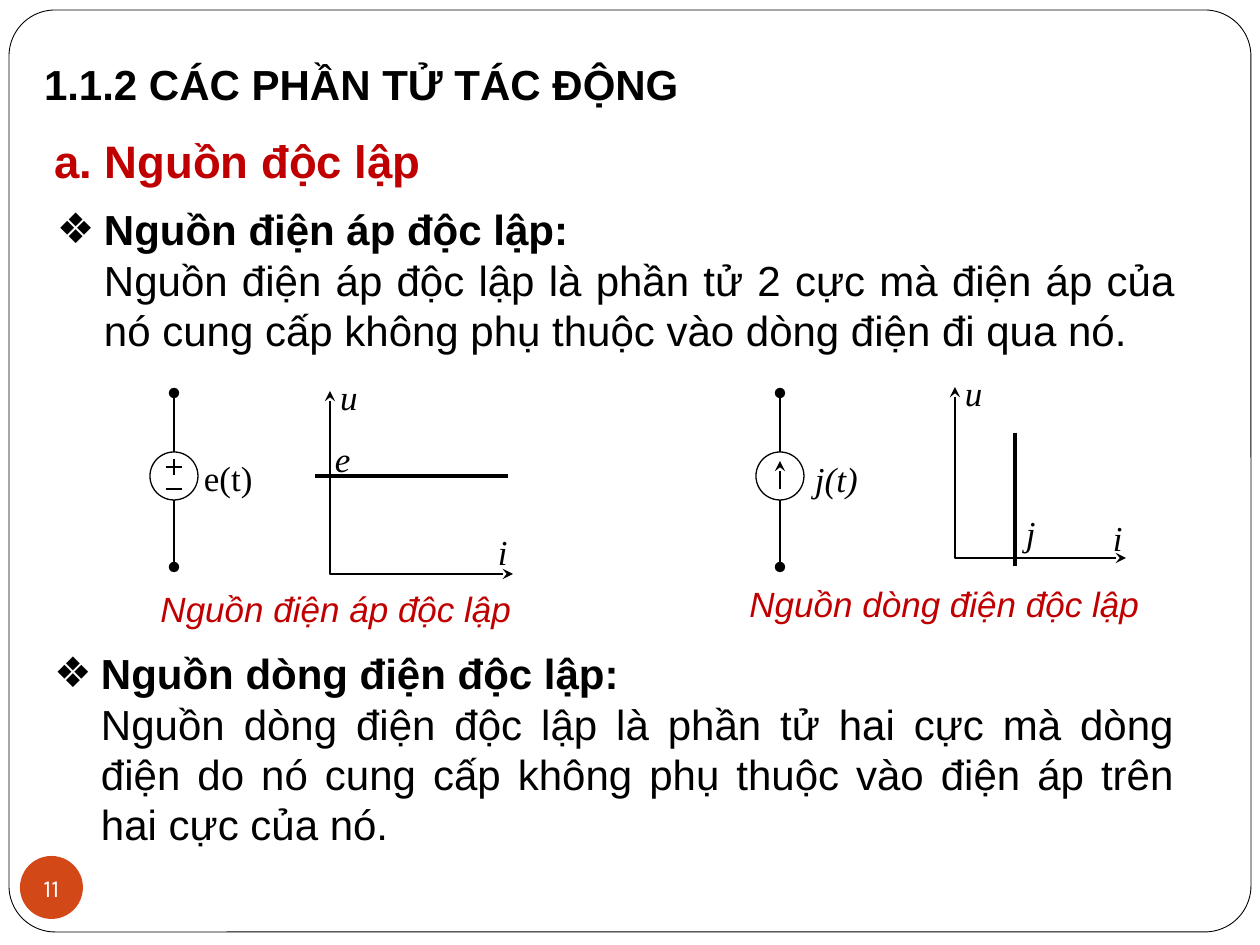
from lxml import etree
from pptx import Presentation
from pptx.dml.color import RGBColor
from pptx.enum.shapes import MSO_CONNECTOR, MSO_SHAPE
from pptx.enum.text import MSO_ANCHOR, PP_ALIGN
from pptx.oxml.ns import qn
from pptx.util import Pt

PX = 914400 // 126
STRAIGHT = MSO_CONNECTOR.STRAIGHT
OVAL, FRAME = MSO_SHAPE.OVAL, MSO_SHAPE.ROUNDED_RECTANGLE
TOP, MIDDLE = MSO_ANCHOR.TOP, MSO_ANCHOR.MIDDLE
LEFT, CENTER, JUSTIFY = PP_ALIGN.LEFT, PP_ALIGN.CENTER, PP_ALIGN.JUSTIFY

BLACK, WHITE = RGBColor(0, 0, 0), RGBColor(255, 255, 255)
RED, ORANGE = RGBColor(0xC0, 0, 0), RGBColor(0xD3, 0x48, 0x17)
THEME = {
    "heading": dict(name="Arial", size=Pt(24), bold=True, color=BLACK),
    "section": dict(name="Arial", size=Pt(26), bold=True, color=RED),
    "body": dict(name="Arial", size=Pt(24), bold=False, color=BLACK),
    "caption": dict(name="Arial", size=Pt(20), italic=True, color=RED),
    "symbol": dict(name="Times New Roman", size=Pt(20), italic=True, color=BLACK),
    "upright": dict(name="Times New Roman", size=Pt(20), italic=False, color=BLACK),
    "number": dict(name="Karla", size=Pt(14), color=WHITE),
}
THIN, MEDIUM, THICK = Pt(0.75), Pt(1.5), Pt(2)

prs = Presentation()
prs.slide_width, prs.slide_height = 1260 * PX, 945 * PX
slide = prs.slides.add_slide(prs.slide_layouts[5])
shapes = slide.shapes


def write(shape, lines, anchor=TOP, inset=0, spacing=1.0):
    """Fill a shape with (text, theme style, alignment) lines."""
    frame = shape.text_frame
    frame.word_wrap = True
    frame.vertical_anchor = anchor
    frame.margin_left = frame.margin_right = 2 * inset * PX
    frame.margin_top = frame.margin_bottom = inset * PX
    for index, (text, style, align) in enumerate(lines):
        paragraph = frame.add_paragraph() if index else frame.paragraphs[0]
        paragraph.alignment, paragraph.line_spacing = align, spacing
        run = paragraph.add_run()
        run.text = text
        for key, value in THEME[style].items():
            if key == "color":
                run.font.color.rgb = value
            else:
                setattr(run.font, key, value)


def stroke(shape, width, **ends):
    """Draw a black outline, with headEnd and tailEnd as given."""
    shape.line.color.rgb, shape.line.width = BLACK, width
    for tag, kind in ends.items():
        etree.SubElement(shape.line._ln, qn(f"a:{tag}"), type=kind)
    properties = shape._element.spPr
    if properties.find(qn("a:effectLst")) is None:
        etree.SubElement(properties, qn("a:effectLst"))


# Slide frame, placed behind the title
border = shapes.add_shape(FRAME, 9 * PX, 10 * PX, 1242 * PX, 922 * PX)
border.adjustments[0] = 0.05
border.fill.solid()
border.fill.fore_color.rgb = WHITE
stroke(border, Pt(0.5))

title = shapes.title
shapes._spTree.remove(title._element)
shapes._spTree.append(title._element)
title.left, title.top, title.width, title.height = 32 * PX, 52 * PX, 703 * PX, 63 * PX
write(title, [("1.1.2 CÁC PHẦN TỬ TÁC ĐỘNG", "heading", JUSTIFY)], MIDDLE, 6)

section = shapes.add_textbox(42 * PX, 126 * PX, 703 * PX, 68 * PX)
write(section, [("a. Nguồn độc lập", "section", JUSTIFY)], MIDDLE, 6)

# Definitions: a bulleted term above its indented explanation
definitions = [
    (45, 197, 1142, 165, "Nguồn điện áp độc lập:",
     "Nguồn điện áp độc lập là phần tử 2 cực mà điện áp của nó cung cấp "
     "không phụ thuộc vào dòng điện đi qua nó."),
    (42, 640, 1144, 217, "Nguồn dòng điện độc lập:",
     "Nguồn dòng điện độc lập là phần tử hai cực mà dòng điện do nó cung cấp "
     "không phụ thuộc vào điện áp trên hai cực của nó."),
]
for x, y, w, h, term, meaning in definitions:
    definition = shapes.add_textbox(x * PX, y * PX, w * PX, h * PX)
    write(definition, [(term, "heading", LEFT), (meaning, "body", JUSTIFY)], MIDDLE, 6)
    for paragraph, indent in zip(definition.text_frame.paragraphs, (-47, 0)):
        properties = paragraph._p.get_or_add_pPr()
        properties.set("marL", str(47 * PX))
        properties.set("indent", str(indent * PX))
        if indent:
            etree.SubElement(properties, qn("a:buFont"), typeface="Arial")
            etree.SubElement(properties, qn("a:buChar"), char="❖")

# Source symbols: a terminal wire with a circle at its middle
for x in (174, 780):
    wire = shapes.add_connector(STRAIGHT, x * PX, 393 * PX, x * PX, 567 * PX)
    stroke(wire, THIN, headEnd="oval", tailEnd="oval")
    circle = shapes.add_shape(OVAL, (x - 24) * PX, 452 * PX, 48 * PX, 48 * PX)
    circle.fill.solid()
    circle.fill.fore_color.rgb = WHITE
    stroke(circle, THIN)

# Axes of the two characteristics
for x, y, length in ((330, 391, 183), (955, 387, 171)):
    outline = shapes.build_freeform(x, y, scale=PX)
    outline.add_line_segments([(x, y + length), (x + length, y + length)], close=False)
    axes = outline.convert_to_shape()
    axes.fill.background()
    stroke(axes, THIN, headEnd="stealth", tailEnd="stealth")

# Polarity signs, current arrow and characteristic lines
marks = [
    (166, 467, 182, 467, THIN, {}),
    (174, 459, 174, 475, THIN, {}),
    (166, 489, 182, 489, THIN, {}),
    (780, 489, 780, 461, MEDIUM, {"tailEnd": "stealth"}),
    (315, 476, 508, 476, THICK, {}),
    (1015, 433, 1015, 566, THICK, {}),
]
for x1, y1, x2, y2, width, ends in marks:
    mark = shapes.add_connector(STRAIGHT, x1 * PX, y1 * PX, x2 * PX, y2 * PX)
    stroke(mark, width, **ends)

labels = [
    (204, 454, 58, 39, "e(t)", "upright"),
    (340, 373, 30, 48, "u", "symbol"),
    (498, 528, 30, 40, "i", "symbol"),
    (335, 435, 30, 39, "e", "symbol"),
    (965, 369, 28, 44, "u", "symbol"),
    (1113, 514, 28, 38, "i", "symbol"),
    (1026, 509, 20, 45, "j", "symbol"),
    (815, 455, 52, 45, "j(t)", "symbol"),
]
for x, y, w, h, text, style in labels:
    label = shapes.add_textbox(x * PX, y * PX, w * PX, h * PX)
    write(label, [(text, style, LEFT)], spacing=1.07)

for x, y, w, text in ((147, 587, 378, "Nguồn điện áp độc lập"),
                      (741, 582, 407, "Nguồn dòng điện độc lập")):
    caption = shapes.add_textbox(x * PX, y * PX, w * PX, 43 * PX)
    write(caption, [(text, "caption", CENTER)])

page_badge = shapes.add_shape(OVAL, 20 * PX, 856 * PX, 63 * PX, 63 * PX)
page_badge.shadow.inherit = False
page_badge.fill.solid()
page_badge.fill.fore_color.rgb = ORANGE
page_badge.line.fill.background()
write(page_badge, [("11", "number", CENTER)], MIDDLE)

prs.save("out.pptx")
